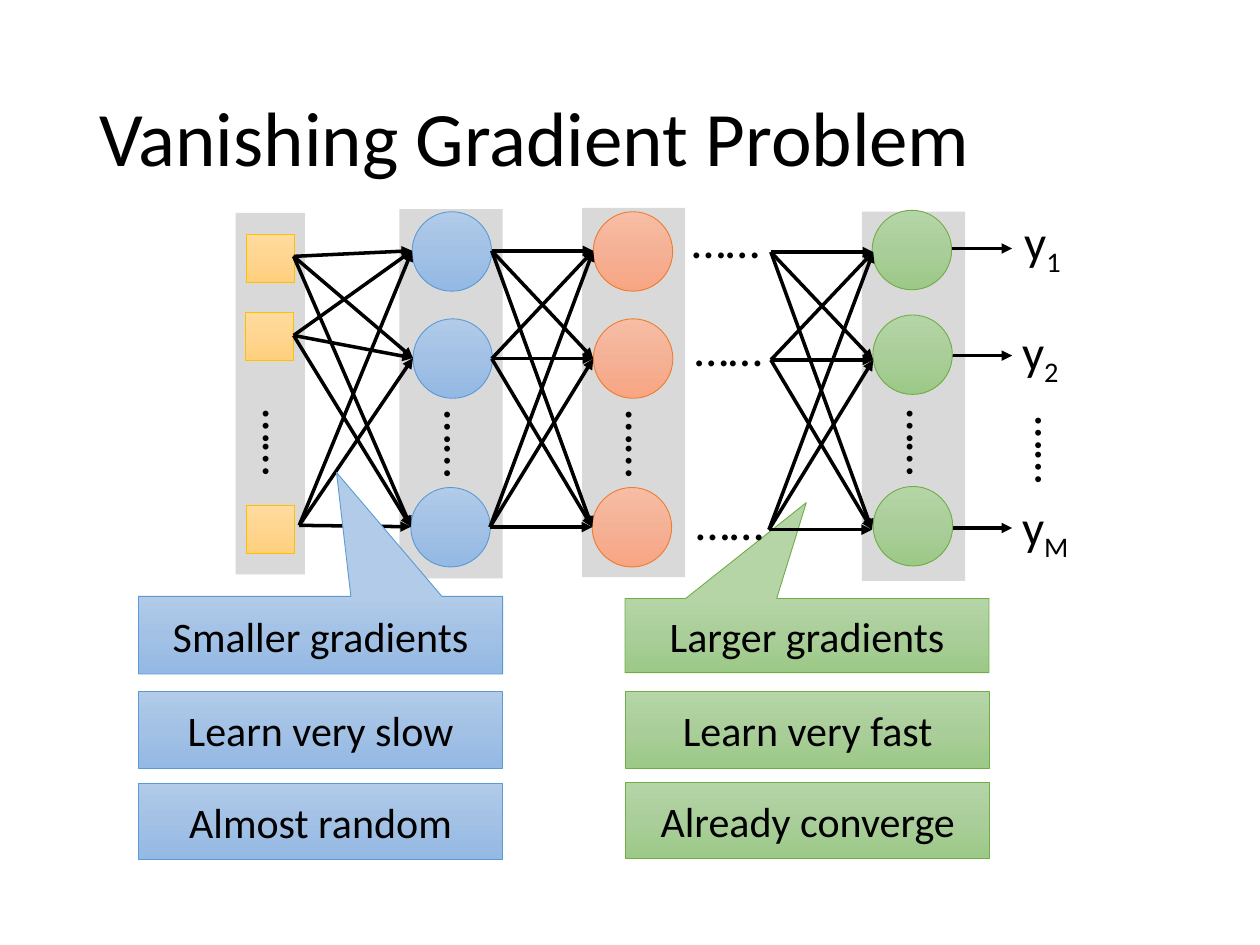
"""Build the vanishing gradient slide: a layered network above two columns of remarks."""
from dataclasses import dataclass
from itertools import product
from typing import Any, NamedTuple

from lxml.etree import SubElement
from pptx import Presentation
from pptx.dml.color import RGBColor
from pptx.enum.shapes import MSO_CONNECTOR as Connector, MSO_SHAPE as Preset
from pptx.enum.text import MSO_ANCHOR as Anchor, MSO_AUTO_SIZE as AutoSize, PP_ALIGN as Align
from pptx.oxml.ns import qn
from pptx.util import Pt


class Paint(NamedTuple):
    top: str
    middle: str
    bottom: str
    edge: str


@dataclass(frozen=True)
class Theme:
    font: str = "Calibri"
    ink: str = "000000"
    band: str = "D9D9D9"
    yellow: Paint = Paint("FFDB9E", "FFD590", "FFD07C", "FFC000")
    blue: Paint = Paint("B1CBE9", "A3C1E5", "93B9E4", "5B9BD5")
    orange: Paint = Paint("F7BDA5", "F5B196", "F8A582", "ED7D31")
    green: Paint = Paint("B5D5A7", "AACE9A", "9CC987", "70AD47")
    title_size: float = 44
    symbol_size: float = 28
    remark_size: float = 24
    edge_width: float = 0.5
    arrow_width: float = 2


class Box(NamedTuple):
    left: float
    top: float
    width: float
    height: float


class Point(NamedTuple):
    x: float
    y: float


class Layer(NamedTuple):
    band: Box
    preset: Preset
    paint: Paint
    size: float
    lefts: tuple[float, ...]
    tops: tuple[float, ...]
    dots: Point


class Remark(NamedTuple):
    text: str
    box: Box
    paint: Paint
    pointer: tuple[float, ...] = ()


THEME = Theme()
DOTS = "……"
SYMBOL = (60.5, 41.2)
HIDDEN_TOPS = (121, 182.2, 278.6)
LAYERS = (
    Layer(Box(228.2, 119.5, 59, 211), Preset.OVAL, THEME.blue, 45.4,
          (235.5, 236, 234.8), HIDDEN_TOPS, Point(234.7, 233.3)),
    Layer(Box(332.6, 118.8, 59, 211), Preset.OVAL, THEME.orange, 45.4,
          (339, 339.1, 338.4), HIDDEN_TOPS, Point(338.4, 233.3)),
    Layer(Box(492.5, 121, 59, 211), Preset.OVAL, THEME.green, 45.4,
          (498.4, 498.8, 499), (120.2, 180, 278), Point(499, 232.5)),
    Layer(Box(134.6, 121.7, 39.6, 206.6), Preset.RECTANGLE, THEME.yellow, 27.4,
          (140.6, 140.3, 141.1), (133.9, 178.6, 288.7), Point(131, 232.5)),
)
BUNDLES = (
    ((Point(167.8, 146.5), Point(167.8, 191.7), Point(171, 300.2)),
     (Point(235.5, 143.3), Point(236, 204.6), Point(234.8, 301))),
    ((Point(281, 143.3), Point(281, 205), Point(280, 301.2)),
     (Point(339, 143.3), Point(339, 205), Point(338.4, 301.2))),
    ((Point(440.5, 144), Point(440.5, 205.7), Point(439.4, 302.7)),
     (Point(499, 144), Point(499, 205.7), Point(498.3, 302.7))),
)
OUTPUT_STARTS = (Point(521.5, 142), Point(523, 203.2), Point(531.5, 301.7))
OUTPUT_END = 578.4
OUTPUT_LABELS = (("1", Point(578.2, 117.4)), ("2", Point(577, 180)), ("M", Point(577, 280)))
SKIPPED_LAYERS = (Point(384.5, 116), Point(386, 178), Point(386.7, 277.2))
OUTPUT_DOTS = Point(572.5, 237)
LARGER = Remark("Larger gradients", Box(357.2, 342, 208, 42.4), THEME.green, (-0.002, -1.792))
SMALLER = Remark("Smaller gradients", Box(79.2, 340.8, 208, 44.4), THEME.blue, (0.044, -2.095))
REMARKS = tuple(
    Remark(text, Box(left, top, 208, 43.6), paint)
    for left, paint, rows in (
        (79.2, THEME.blue, (("Learn very slow", 395.4), ("Almost random", 447.6))),
        (357.6, THEME.green, (("Learn very fast", 395.4), ("Already converge", 447.1))),
    )
    for text, top in rows
)


def apply(target: Any, values: dict[str, Any]) -> None:
    """Set each named value on the target."""
    for name, value in values.items():
        setattr(target, name, value)


def lengths(box: Box) -> list[int]:
    """Turn a box into point lengths."""
    return [Pt(value) for value in box]


def write(frame: Any, text: str, size: float, align: Align, subscript: str = "") -> None:
    """Write one paragraph, with an optional subscript."""
    paragraph = frame.paragraphs[0]
    paragraph.alignment = align
    for part in filter(None, (text, subscript)):
        run = paragraph.add_run()
        run.text = part
        apply(run.font, {"name": THEME.font, "size": Pt(size)})
        run.font.color.rgb = RGBColor.from_string(THEME.ink)
    if subscript:
        run.font._element.set("baseline", "-25000")


def add_band(slide: Any, box: Box) -> None:
    """Draw the grey band behind a layer."""
    band = slide.shapes.add_shape(Preset.RECTANGLE, *lengths(box))
    band.shadow.inherit = False
    band.fill.solid()
    band.fill.fore_color.rgb = RGBColor.from_string(THEME.band)
    band.line.fill.background()


def add_painted(slide: Any, preset: Preset, box: Box, paint: Paint) -> Any:
    """Draw a shape with a vertical gradient and a thin edge."""
    shape = slide.shapes.add_shape(preset, *lengths(box))
    shape.shadow.inherit = False
    shape.fill.gradient()
    shape.fill.gradient_angle = 270
    stops = shape.fill._fill._gradFill.find(qn("a:gsLst"))
    stops.clear()
    for position, color in zip((0, 50000, 100000), paint[:3]):
        stop = SubElement(stops, qn("a:gs"), pos=str(position))
        SubElement(stop, qn("a:srgbClr"), val=color)
    shape.line.color.rgb = RGBColor.from_string(paint.edge)
    shape.line.width = Pt(THEME.edge_width)
    return shape


def add_remark(slide: Any, remark: Remark) -> None:
    """Draw a remark, as a callout when it has a pointer."""
    preset = Preset.RECTANGULAR_CALLOUT if remark.pointer else Preset.RECTANGLE
    shape = add_painted(slide, preset, remark.box, remark.paint)
    for index, value in enumerate(remark.pointer):
        shape.adjustments[index] = value
    apply(shape.text_frame, {"word_wrap": True, "vertical_anchor": Anchor.MIDDLE})
    write(shape.text_frame, remark.text, THEME.remark_size, Align.CENTER)


def add_symbol(slide: Any, at: Point, text: str = DOTS, subscript: str = "",
               rotation: float = 0) -> None:
    """Place dots or an output label."""
    width = 49.5 if subscript else SYMBOL[0]
    symbol = slide.shapes.add_textbox(*lengths(Box(*at, width, SYMBOL[1])))
    symbol.rotation = rotation
    apply(symbol.text_frame, {"word_wrap": True, "auto_size": AutoSize.SHAPE_TO_FIT_TEXT})
    write(symbol.text_frame, text, THEME.symbol_size,
          Align.LEFT if subscript else Align.CENTER, subscript)


def add_arrow(slide: Any, start: Point, end: Point) -> None:
    """Draw a straight arrow."""
    arrow = slide.shapes.add_connector(Connector.STRAIGHT, *map(Pt, (*start, *end)))
    arrow.line.color.rgb = RGBColor.from_string(THEME.ink)
    arrow.line.width = Pt(THEME.arrow_width)
    SubElement(arrow.line._get_or_add_ln(), qn("a:tailEnd"), type="triangle")
    SubElement(arrow._element.spPr, qn("a:effectLst"))


def add_title(slide: Any, text: str) -> None:
    """Place and fill the title."""
    title = slide.shapes.title
    apply(title, dict(zip(("left", "top", "width", "height"),
                          lengths(Box(49.5, 28.8, 621, 104.4)))))
    apply(title.text_frame, {"word_wrap": True, "vertical_anchor": Anchor.MIDDLE,
                             "auto_size": AutoSize.NONE})
    write(title.text_frame, text, THEME.title_size, Align.LEFT)
    title.text_frame.paragraphs[0].line_spacing = 0.9


def main() -> None:
    """Build and save the slide."""
    deck = Presentation()
    apply(deck, {"slide_width": Pt(720), "slide_height": Pt(540)})
    slide = deck.slides.add_slide(deck.slide_layouts[5])
    add_title(slide, "Vanishing Gradient Problem")
    for remark in (LARGER, *REMARKS):
        add_remark(slide, remark)
    for layer in LAYERS:
        add_band(slide, layer.band)
    for start in OUTPUT_STARTS:
        add_arrow(slide, start, Point(OUTPUT_END, start.y))
    for layer in LAYERS:
        for left, top in zip(layer.lefts, layer.tops):
            add_painted(slide, layer.preset, Box(left, top, layer.size, layer.size), layer.paint)
        add_symbol(slide, layer.dots, rotation=90)
    for at in SKIPPED_LAYERS:
        add_symbol(slide, at)
    for sources, targets in BUNDLES:
        for start, end in product(sources, targets):
            add_arrow(slide, start, end)
    add_symbol(slide, OUTPUT_DOTS, rotation=90)
    for subscript, at in OUTPUT_LABELS:
        add_symbol(slide, at, "y", subscript)
    add_remark(slide, SMALLER)
    deck.save("out.pptx")


if __name__ == "__main__":
    main()
